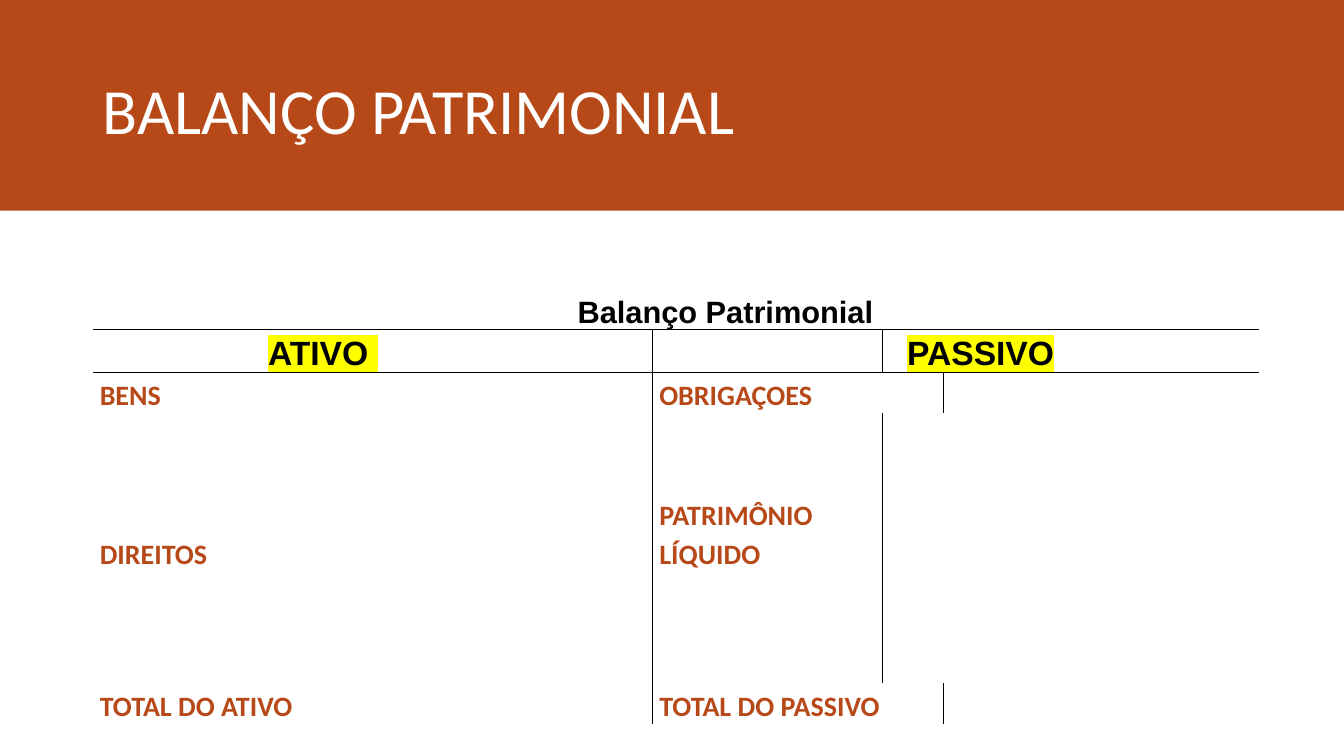
"""Build a balance sheet slide laid out as a two-sided T account."""
import dataclasses

import lxml.etree
import pptx
import pptx.dml.color
import pptx.enum.shapes
import pptx.enum.text
import pptx.oxml.ns
import pptx.table
import pptx.text.text
import pptx.util

Inches = pptx.util.Inches
Pt = pptx.util.Pt
RGBColor = pptx.dml.color.RGBColor
MIDDLE = pptx.enum.text.MSO_ANCHOR.MIDDLE
BOTTOM = pptx.enum.text.MSO_ANCHOR.BOTTOM
qn = pptx.oxml.ns.qn

RUST = RGBColor(0xB7, 0x49, 0x19)
WHITE = RGBColor(0xFF, 0xFF, 0xFF)
BLACK = RGBColor(0x00, 0x00, 0x00)
YELLOW = RGBColor(0xFF, 0xFF, 0x00)

PLAIN_STYLE = "{2D5ABB26-0587-4C30-8999-92F81FD0307C}"
COLUMNS = (1.67, 1.34, 1.73, 0.81, 2.28, 0.12, 0.43, 1.67, 0.73, 0.73)
ROWS = (0.6, 0.4, 0.4, 0.4, 0.4, 0.4, 0.4, 0.7, 0.4)
LIABILITIES_COL = 4
HIGHLIGHT_END = 1.91


@dataclasses.dataclass(frozen=True)
class Entry:
    """Text of one account cell and its format."""
    row: int
    col: int
    text: str
    span: int = 1
    size: int = 20
    font: str = "Calibri"
    color: RGBColor = RUST
    highlight: RGBColor | None = None
    spacing: float = 1.15


ENTRIES = (
    Entry(0, 3, "Balanço Patrimonial", 4, 22, "Arial", BLACK),
    Entry(1, 1, "ATIVO ", 1, 24, "Arial", BLACK, YELLOW),
    Entry(1, 6, "PASSIVO\t", 2, 24, "Arial", BLACK, YELLOW, 1.0),
    Entry(2, 0, "BENS", 2),
    Entry(2, 4, "OBRIGAÇOES", 3),
    Entry(5, 0, "DIREITOS", 2),
    Entry(5, 4, "PATRIMÔNIO LÍQUIDO"),
    Entry(8, 0, "TOTAL DO ATIVO", 2),
    Entry(8, 4, "TOTAL DO PASSIVO", 3),
)


def write(p: pptx.text.text._Paragraph, text: str, *, size: int, font: str,
          color: RGBColor, bold: bool = False, spacing: float = 1.0,
          highlight: RGBColor | None = None) -> None:
    """Add one formatted run to a paragraph."""
    p.line_spacing = spacing
    r = p.add_run()
    r.text = text
    r.font.size = Pt(size)
    r.font.bold = bold
    r.font.color.rgb = color
    if highlight is not None:
        mark = lxml.etree.Element(qn("a:highlight"))
        lxml.etree.SubElement(mark, qn("a:srgbClr"), val=str(highlight))
        r._r.rPr.find(qn("a:solidFill")).addnext(mark)
    r.font.name = font


def add_tab_stop(p: pptx.text.text._Paragraph, position: float) -> None:
    """Set a left tab stop on a paragraph."""
    tabs = lxml.etree.SubElement(p._p.get_or_add_pPr(), qn("a:tabLst"))
    lxml.etree.SubElement(tabs, qn("a:tab"), pos=str(Inches(position)), algn="l")


def add_border(cell: pptx.table._Cell, side: str) -> None:
    """Add a thin black border on one side of a cell."""
    ln = lxml.etree.SubElement(cell._tc.get_or_add_tcPr(), qn(f"a:ln{side}"),
                               w=str(Pt(1)))
    fill = lxml.etree.SubElement(ln, qn("a:solidFill"))
    lxml.etree.SubElement(fill, qn("a:srgbClr"), val=str(BLACK))


def format_cell(cell: pptx.table._Cell, row: int, col: int) -> None:
    """Set margins, T account borders and an empty fill."""
    cell.margin_left = cell.margin_right = Inches(0.07)
    cell.margin_top = cell.margin_bottom = 0
    cell.vertical_anchor = BOTTOM
    rules = {
        "L": row > 0 and col == LIABILITIES_COL,
        "R": row > 0 and col == LIABILITIES_COL - 1,
        "T": row == 1,
        "B": row == 0,
    }
    for side, drawn in rules.items():
        if drawn:
            add_border(cell, side)
    cell.fill.background()


def add_account(slide) -> None:
    """Draw the T account table."""
    sp = slide.shapes.add_table(len(ROWS), len(COLUMNS), Inches(0.92), Inches(2.67),
                                Inches(sum(COLUMNS)), Inches(sum(ROWS)))
    table = sp.table
    table.first_row = table.horz_banding = False
    table._tbl.tblPr.find(qn("a:tableStyleId")).text = PLAIN_STYLE
    for column, width in zip(table.columns, COLUMNS):
        column.width = Inches(width)
    for i, height in enumerate(ROWS):
        table.rows[i].height = Inches(height)
        for j in range(len(COLUMNS)):
            format_cell(table.cell(i, j), i, j)
    for e in ENTRIES:
        cell = table.cell(e.row, e.col)
        if e.span > 1:
            cell.merge(table.cell(e.row, e.col + e.span - 1))
        p = cell.text_frame.paragraphs[0]
        p.line_spacing = e.spacing
        if "\t" in e.text:
            add_tab_stop(p, HIGHLIGHT_END)
        write(p, e.text, size=e.size, font=e.font, color=e.color, bold=True,
              spacing=e.spacing, highlight=e.highlight)


def add_header(slide) -> None:
    """Draw the banner behind the title and fill in the title."""
    banner = slide.shapes.add_shape(pptx.enum.shapes.MSO_SHAPE.RECTANGLE, 0, 0,
                                    Inches(13.33), Inches(2.09))
    banner.shadow.inherit = False
    banner.fill.solid()
    banner.fill.fore_color.rgb = RUST
    banner.line.fill.background()
    title = slide.shapes.title
    title._element.addprevious(banner._element)
    title.left, title.top = Inches(0.92), Inches(0.4)
    title.width, title.height = Inches(11.5), Inches(1.45)
    tf = title.text_frame
    tf.vertical_anchor = MIDDLE
    p = tf.paragraphs[0]
    p.alignment = pptx.enum.text.PP_ALIGN.LEFT
    write(p, "BALANÇO PATRIMONIAL", size=46, font="Calibri", color=WHITE, spacing=0.9)


def main() -> None:
    """Create the presentation and save it."""
    prs = pptx.Presentation()
    prs.slide_width, prs.slide_height = Inches(13.33), Inches(7.5)
    slide = prs.slides.add_slide(prs.slide_layouts[5])
    add_header(slide)
    add_account(slide)
    prs.save("out.pptx")


if __name__ == "__main__":
    main()
